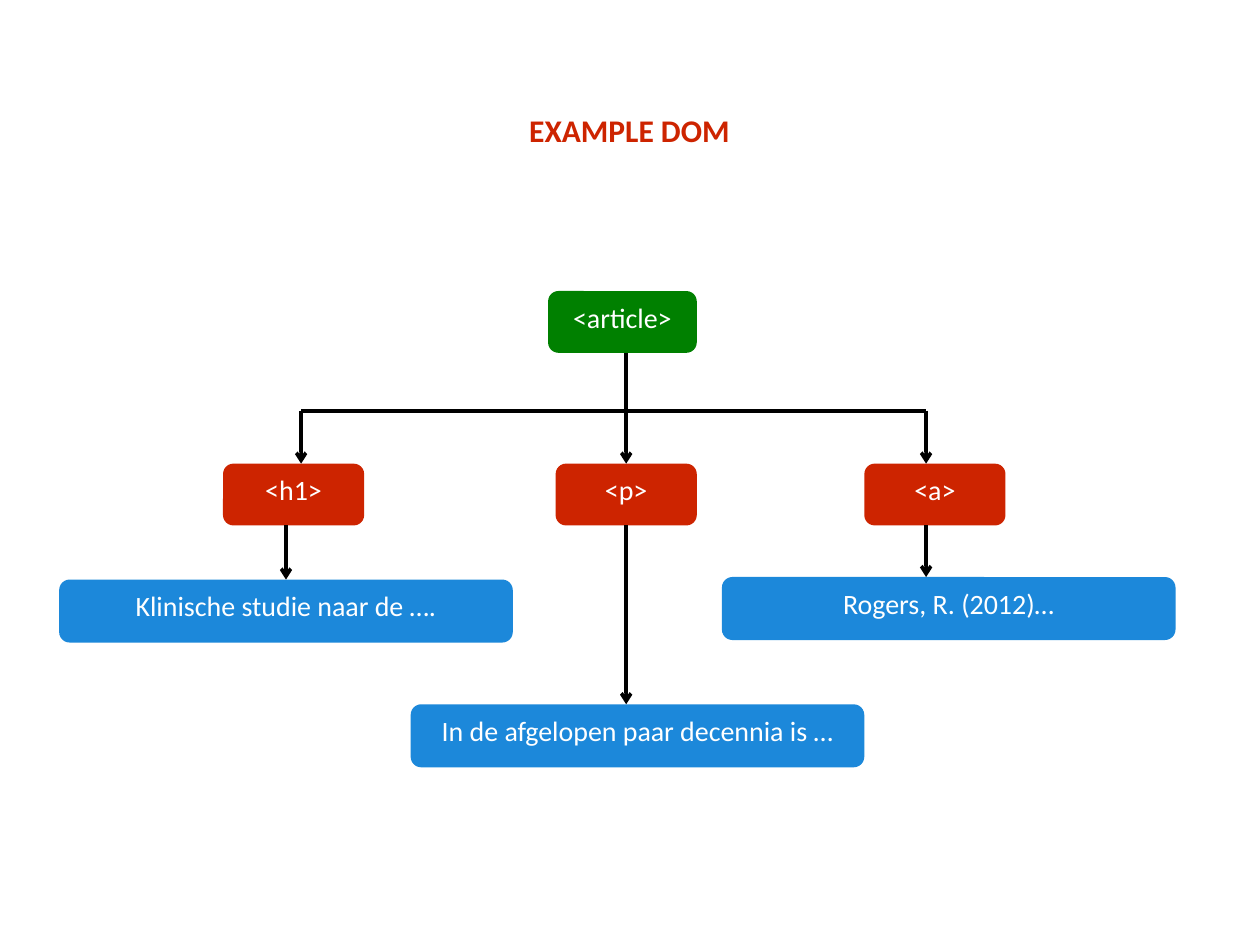
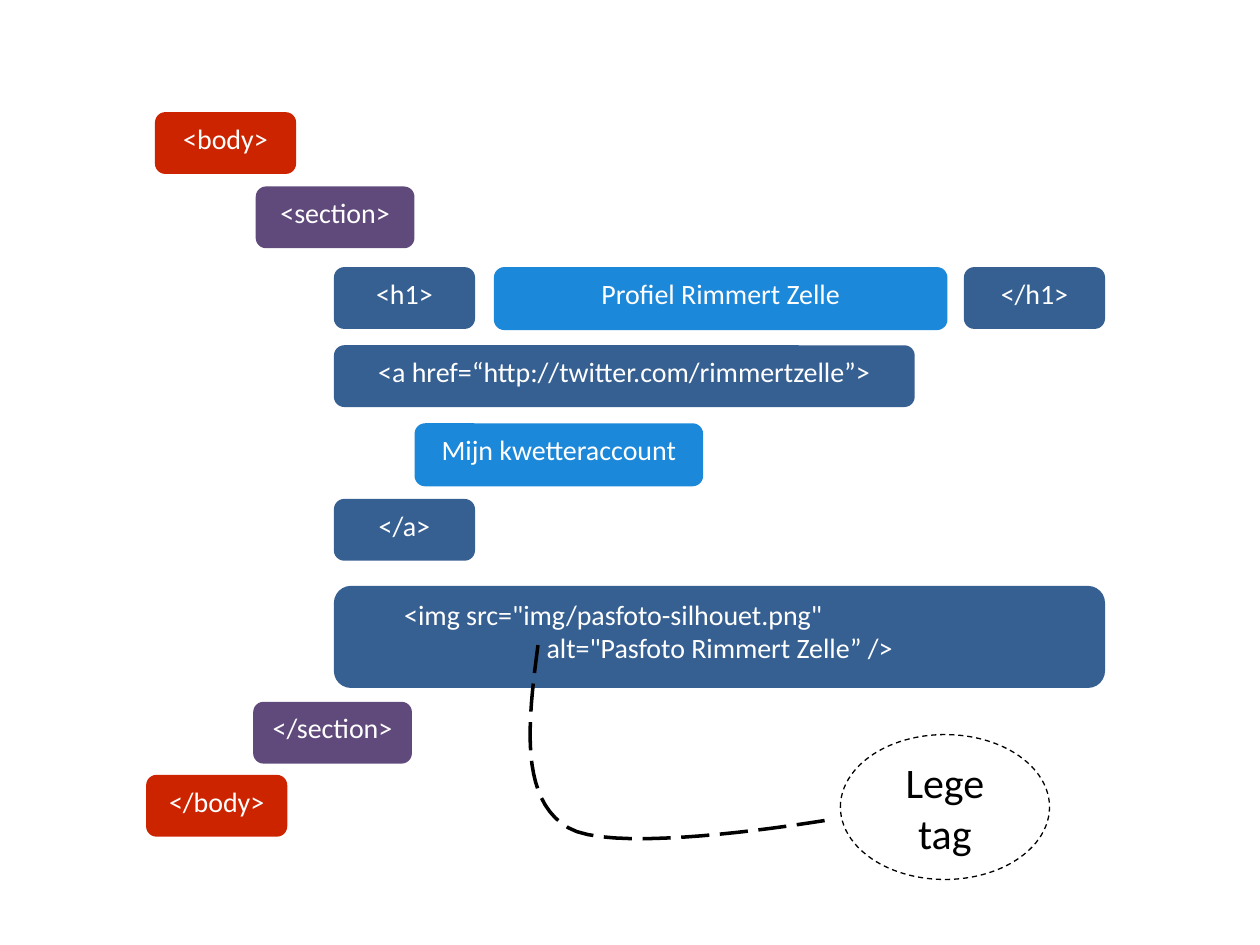
from pptx import Presentation
from pptx.dml.color import RGBColor
from pptx.enum.dml import MSO_LINE
from pptx.enum.shapes import MSO_CONNECTOR, MSO_SHAPE
from pptx.enum.text import MSO_ANCHOR, MSO_AUTO_SIZE, PP_ALIGN
from pptx.oxml.ns import qn
from pptx.util import Inches, Pt

ROUNDED, OVAL = MSO_SHAPE.ROUNDED_RECTANGLE, MSO_SHAPE.OVAL
STRAIGHT = MSO_CONNECTOR.STRAIGHT
LEFT, CENTER = PP_ALIGN.LEFT, PP_ALIGN.CENTER
TOP, MIDDLE = MSO_ANCHOR.TOP, MSO_ANCHOR.MIDDLE
DASH, LONG_DASH = MSO_LINE.DASH, MSO_LINE.LONG_DASH
TITLE_ONLY, BLANK = 5, 6
TOP_SITE, BOTTOM_SITE = 0, 2

THEME = {
    "font": "Calibri",
    "title": 18, "label": 16, "note": 24,
    "line": 2, "thin": 0.75,
    "red": "CD2400", "green": "008000", "sky": "1C88DA",
    "purple": "604A7B", "navy": "376092", "white": "FFFFFF", "black": "000000",
}
TAG_WIDTH, SECTION_WIDTH, TEXT_WIDTH = 1.12, 1.26, 3.6
TAG_HEIGHT, TEXT_HEIGHT = 0.49, 0.5

# Slide 1: the DOM tree
TITLE = "EXAMPLE DOM"
ROOT = ("<article>", 4.35, 2.31, 1.18)
BUS_TOP, TAG_TOP = 3.26, 3.68
# tag, its left, drop x, text, its left and top, x of the arrow between them
BRANCHES = [
    ("<h1>", 1.77, 2.39, "Klinische studie naar de ….", 0.47, 4.6, 2.27),
    ("<p>", 4.41, 4.97, "In de afgelopen paar decennia is …", 3.26, 5.59, 4.97),
    ("<a>", 6.86, 7.35, "Rogers, R. (2012)…", 5.73, 4.58, 7.35),
]

# Slide 2: nested markup as (text, colour, left, top, width)
INNER = 2.65
INNER_RIGHT = 8.77
MARKUP = [
    ("<body>", "red", 1.23, 0.89, TAG_WIDTH),
    ("<section>", "purple", 2.03, 1.48, SECTION_WIDTH),
    ("<h1>", "navy", INNER, 2.12, TAG_WIDTH),
    ("Profiel Rimmert Zelle", "sky", 3.92, 2.12, TEXT_WIDTH),
    ("</h1>", "navy", INNER_RIGHT - TAG_WIDTH, 2.12, TAG_WIDTH),
    ("<a href=“http://twitter.com/rimmertzelle”>", "navy", INNER, 2.74, 4.61),
    ("Mijn kwetteraccount", "sky", 3.29, 3.36, 2.29),
    ("</a>", "navy", INNER, 3.96, TAG_WIDTH),
    ("</section>", "purple", 2.01, 5.57, SECTION_WIDTH),
    ("</body>", "red", 1.16, 6.15, TAG_WIDTH),
]
IMAGE_TAG = '<img src="img/pasfoto-silhouet.png"\nalt="Pasfoto Rimmert Zelle” />'
IMAGE_TAG_AT = (INNER, 4.65, INNER_RIGHT - INNER, 0.81)
IMAGE_TAG_INDENTS = (0.42, 1.55)
NOTE, NOTE_AT = "Lege tag", (6.67, 5.83, 1.66, 1.15)
# Bézier segments, each from the end of the one before
POINTER_START = (4.27, 5.12)
POINTER_CURVES = [
    ((4.19, 5.73), (4.12, 6.34), (4.51, 6.57)),
    ((4.9, 6.8), (6.62, 6.5), (6.62, 6.5)),
]
CURVE_STEPS = 20


def colour(name):
    return RGBColor.from_string(THEME[name])


def set_text(shape, text, size, ink, align=CENTER, anchor=TOP, bold=False):
    frame = shape.text_frame
    frame.text = text
    frame.word_wrap = True
    frame.vertical_anchor = anchor
    for paragraph in frame.paragraphs:
        paragraph.alignment = align
        for run in paragraph.runs:
            font = run.font
            font.name, font.size, font.bold = THEME["font"], Pt(THEME[size]), bold
            font.color.rgb = colour(ink)


def add_box(slide, text, fill, left, top, width, height=None, align=CENTER):
    if height is None:
        height = TEXT_HEIGHT if fill == "sky" else TAG_HEIGHT
    box = slide.shapes.add_shape(ROUNDED, *map(Inches, (left, top, width, height)))
    box.shadow.inherit = False
    box.fill.solid()
    box.fill.fore_color.rgb = colour(fill)
    box.line.fill.background()
    set_text(box, text, "label", "white", align)
    return box


def style_line(line, width="line", dash=None):
    line.color.rgb = colour("black")
    line.width = Pt(THEME[width])
    if dash:
        line.dash_style = dash


def add_line(slide, start, end, arrow=True):
    connector = slide.shapes.add_connector(STRAIGHT, *start, *end)
    style_line(connector.line)
    properties = connector._element.spPr
    if arrow:
        tail = properties.find(qn("a:ln")).makeelement(qn("a:tailEnd"), {"type": "arrow"})
        properties.find(qn("a:ln")).append(tail)
    properties.append(properties.makeelement(qn("a:effectLst"), {}))
    return connector


def is_middle(box, x):
    return abs(box.left + box.width / 2 - x) < Inches(0.01)


def add_drop(slide, x, lower, upper=None):
    """Arrow down to a box, from the box above or else from the bus."""
    x = Inches(x)
    start_y = upper.top + upper.height if upper else Inches(BUS_TOP)
    arrow = add_line(slide, (x, start_y), (x, lower.top))
    if upper and is_middle(upper, x):
        arrow.begin_connect(upper, BOTTOM_SITE)
    if is_middle(lower, x):
        arrow.end_connect(lower, TOP_SITE)


def curve_points(start, curves):
    """Points along a chain of cubic Bézier segments."""
    for first, second, end in curves:
        for step in range(1, CURVE_STEPS + 1):
            t = step / CURVE_STEPS
            u = 1 - t
            yield tuple(
                Inches(u**3 * a + 3 * u**2 * t * b + 3 * u * t**2 * c + t**3 * d)
                for a, b, c, d in zip(start, first, second, end))
        start = end


def build_tree(deck):
    slide = deck.slides.add_slide(deck.slide_layouts[TITLE_ONLY])
    title = slide.shapes.title
    title.left, title.top, title.width, title.height = map(Inches, (4.1, 0.83, 1.81, 0.4))
    set_text(title, TITLE, "title", "red", LEFT, bold=True)
    title.text_frame.word_wrap = False
    title.text_frame.auto_size = MSO_AUTO_SIZE.NONE

    root_text, *root_at = ROOT
    root = add_box(slide, root_text, "green", *root_at)
    nodes = []
    for tag, tag_left, drop_x, text, text_left, text_top, text_x in BRANCHES:
        tag_box = add_box(slide, tag, "red", tag_left, TAG_TOP, TAG_WIDTH)
        text_box = add_box(slide, text, "sky", text_left, text_top, TEXT_WIDTH)
        nodes.append((tag_box, drop_x, text_box, text_x))
    for tag_box, drop_x, text_box, text_x in nodes:
        is_trunk = is_middle(tag_box, Inches(drop_x))
        add_drop(slide, drop_x, tag_box, root if is_trunk else None)
        add_drop(slide, text_x, text_box, tag_box)
    bus_ends = [(Inches(branch[2]), Inches(BUS_TOP)) for branch in BRANCHES]
    add_line(slide, bus_ends[0], bus_ends[-1], arrow=False)


def build_markup(deck):
    slide = deck.slides.add_slide(deck.slide_layouts[BLANK])
    for text, fill, left, top, width in MARKUP:
        add_box(slide, text, fill, left, top, width)

    image_tag = add_box(slide, IMAGE_TAG, "navy", *IMAGE_TAG_AT, align=LEFT)
    for paragraph, indent in zip(image_tag.text_frame.paragraphs, IMAGE_TAG_INDENTS):
        paragraph._p.get_or_add_pPr().set("marL", str(Inches(indent)))

    note = slide.shapes.add_shape(OVAL, *map(Inches, NOTE_AT))
    note.shadow.inherit = False
    note.fill.background()
    style_line(note.line, "thin", DASH)
    set_text(note, NOTE, "note", "black", anchor=MIDDLE)

    outline = slide.shapes.build_freeform(*map(Inches, POINTER_START))
    outline.add_line_segments(curve_points(POINTER_START, POINTER_CURVES), close=False)
    pointer = outline.convert_to_shape()
    pointer.shadow.inherit = False
    pointer.fill.background()
    style_line(pointer.line, dash=LONG_DASH)


def main():
    deck = Presentation()
    deck.slide_width, deck.slide_height = Inches(10), Inches(7.5)
    build_tree(deck)
    build_markup(deck)
    deck.save("out.pptx")


if __name__ == "__main__":
    main()
